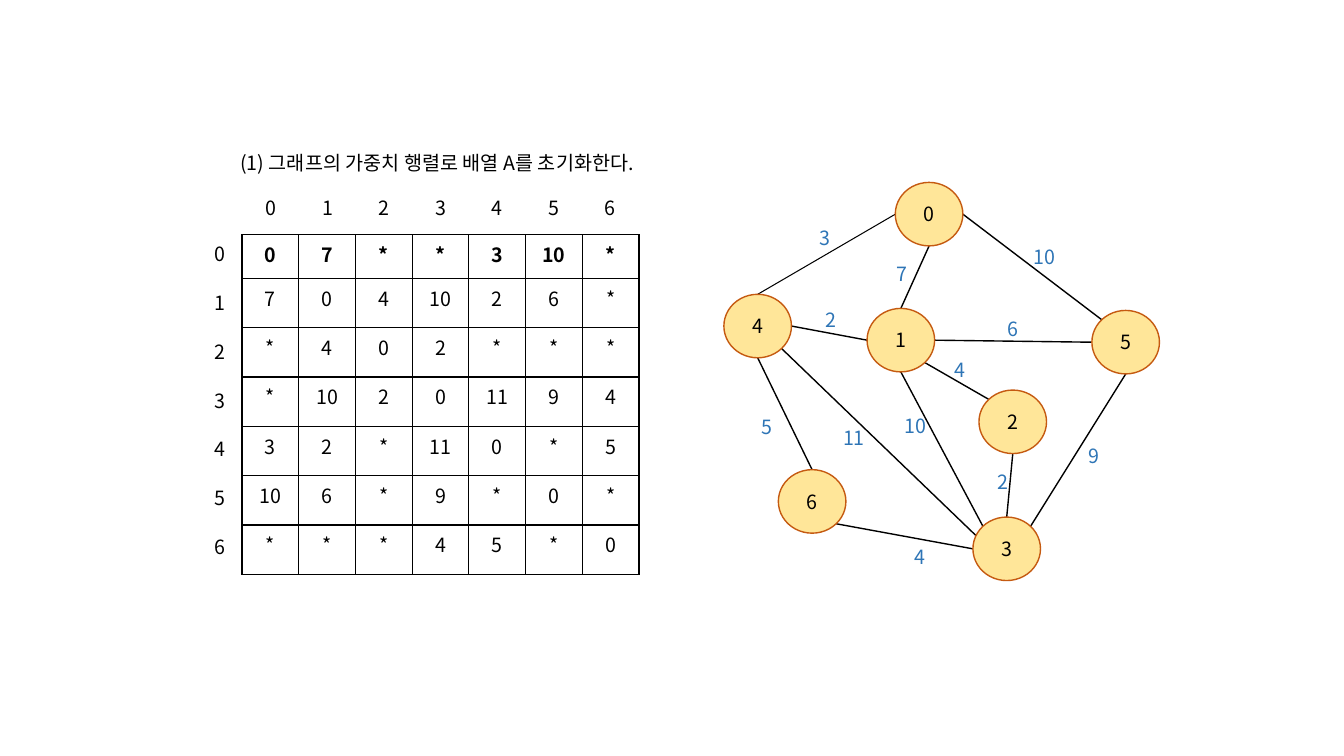
import pptx
import pptx.dml.color
import pptx.enum.shapes
import pptx.enum.text
import pptx.oxml
import pptx.oxml.ns
import pptx.util
from lxml import etree

Inches = pptx.util.Inches
FONT = "Noto Sans CJK KR"
BLACK = "000000"
BLUE = "2E75B6"


def color(hex_string):
    return pptx.dml.color.RGBColor.from_string(hex_string)


def write(text_frame, text, text_color=BLACK, bold=False):
    paragraph = text_frame.paragraphs[0]
    paragraph.text = text
    paragraph.alignment = pptx.enum.text.PP_ALIGN.CENTER
    paragraph.font.size = pptx.util.Pt(14)
    paragraph.font.bold = bold
    paragraph.font.color.rgb = color(text_color)
    paragraph.font.name = FONT
    defaults = paragraph._p.pPr.find(pptx.oxml.ns.qn("a:defRPr"))
    etree.SubElement(defaults, pptx.oxml.ns.qn("a:ea"), typeface=FONT)


presentation = pptx.Presentation()
presentation.slide_width = Inches(13.33)
presentation.slide_height = Inches(7.5)
slide = presentation.slides.add_slide(presentation.slide_layouts[6])

weights = [
    "0 7 * * 3 10 *",
    "7 0 4 10 2 6 *",
    "* 4 0 2 * * *",
    "* 10 2 0 11 9 4",
    "3 2 * 11 0 * 5",
    "10 6 * 9 * 0 *",
    "* * * 4 5 * 0",
]
table = slide.shapes.add_table(7, 7, Inches(2.4), Inches(2.33), Inches(3.94), Inches(3.36)).table
table.first_row = False
table.horz_banding = False
for column in table.columns:
    column.width = Inches(3.94 / 7)
for row_index, row_text in enumerate(weights):
    table.rows[row_index].height = Inches(0.49 if row_index else 0.43)
    for column_index, weight in enumerate(row_text.split()):
        cell = table.cell(row_index, column_index)
        write(cell.text_frame, weight, bold=row_index == 0)
        properties = cell._tc.get_or_add_tcPr()
        for side in ("lnL", "lnR", "lnT", "lnB"):
            properties.append(pptx.oxml.parse_xml(
                f'<a:{side} {pptx.oxml.ns.nsdecls("a")} w="12700"><a:solidFill>'
                f'<a:srgbClr val="{BLACK}"/></a:solidFill></a:{side}>'))
        cell.fill.background()

node_width, node_height = 0.67, 0.63
nodes = [(8.88, 1.81), (8.6, 3.06), (9.71, 3.87), (9.65, 5.13), (7.18, 2.92), (10.83, 3.08), (7.72, 4.66)]
sites = {
    "top": (0.5, 0), "bottom": (0.5, 1), "left": (0, 0.5), "right": (1, 0.5),
    "top left": (0.15, 0.15), "top right": (0.85, 0.15),
    "bottom left": (0.15, 0.85), "bottom right": (0.85, 0.85),
    "inside": (0.19, 0.44),
}
edges = [
    (4, "top", 0, "left", 0.75),
    (1, "right", 5, "left", 1),
    (0, "right", 5, "top left", 1),
    (3, "inside", 4, "bottom right", 1),
    (6, "top", 4, "bottom", 1),
    (3, "top left", 1, "bottom", 1),
    (3, "left", 6, "bottom right", 1),
    (2, "top left", 1, "bottom right", 1),
    (3, "top", 2, "bottom", 1),
    (1, "top", 0, "bottom", 1),
    (4, "right", 1, "left", 1),
    (3, "top right", 5, "bottom", 1),
]
for start, start_site, end, end_site, line_width in edges:
    points = []
    for node, site in ((start, start_site), (end, end_site)):
        points.append(Inches(nodes[node][0] + node_width * sites[site][0]))
        points.append(Inches(nodes[node][1] + node_height * sites[site][1]))
    connector = slide.shapes.add_connector(pptx.enum.shapes.MSO_CONNECTOR.STRAIGHT, *points)
    connector.line.color.rgb = color(BLACK)
    connector.line.width = pptx.util.Pt(line_width)
    etree.SubElement(connector._element.spPr, pptx.oxml.ns.qn("a:effectLst"))

for number, (left, top) in enumerate(nodes):
    shape = slide.shapes.add_shape(
        pptx.enum.shapes.MSO_SHAPE.OVAL, Inches(left), Inches(top), Inches(node_width), Inches(node_height))
    shape.shadow.inherit = False
    shape.fill.solid()
    shape.fill.fore_color.rgb = color("FFE699")
    shape.line.color.rgb = color("C55A11")
    shape.line.width = pptx.util.Pt(1)
    shape.text_frame.vertical_anchor = pptx.enum.text.MSO_ANCHOR.MIDDLE
    write(shape.text_frame, str(number))

edge_labels = [
    ("3", 7.91, 2.19), ("10", 10.09, 2.38), ("7", 8.68, 2.55), ("6", 9.78, 3.09),
    ("10", 8.81, 4.06), ("2", 9.68, 4.61), ("4", 8.85, 5.36), ("11", 8.2, 4.18),
    ("5", 7.34, 4.07), ("2", 7.97, 3.01), ("4", 9.25, 3.5), ("9", 10.58, 4.35),
]
labels = [(text, left, top, 0.54, BLUE) for text, left, top in edge_labels]
labels.append(("(1) 그래프의 가중치 행렬로 배열 A를 초기화한다.", 1.49, 1.45, 5.69, BLACK))
labels += [(str(index), 1.78, 2.35 + 0.485 * index, 0.8, BLACK) for index in range(7)]
labels += [(str(index), 2.41 + 0.56 * index, 1.89, 0.56, BLACK) for index in range(7)]
for text, left, top, width, text_color in labels:
    text_box = slide.shapes.add_textbox(Inches(left), Inches(top), Inches(width), Inches(0.34))
    text_box.text_frame.word_wrap = True
    text_box.text_frame.auto_size = pptx.enum.text.MSO_AUTO_SIZE.SHAPE_TO_FIT_TEXT
    write(text_box.text_frame, text, text_color)

presentation.save("out.pptx")
